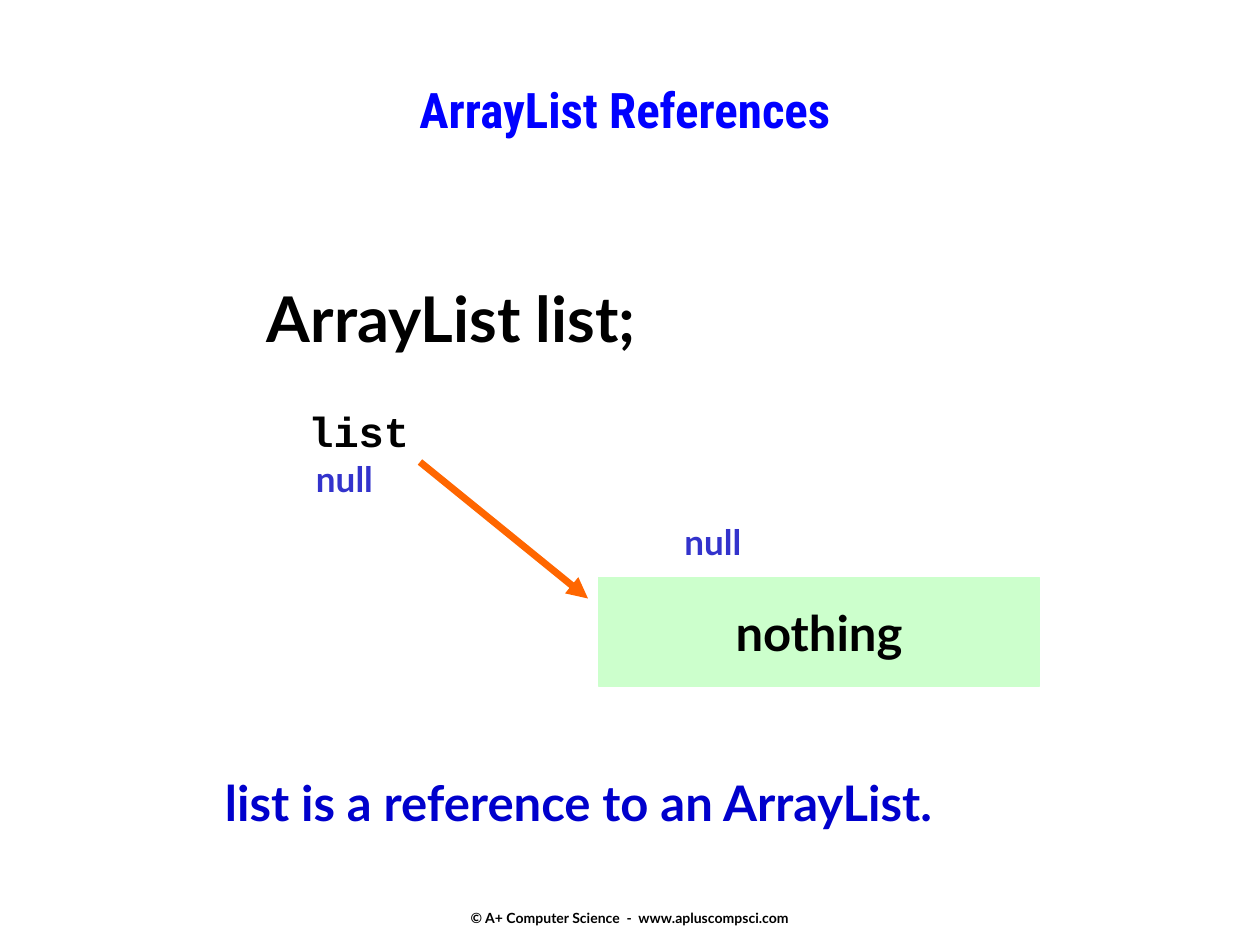
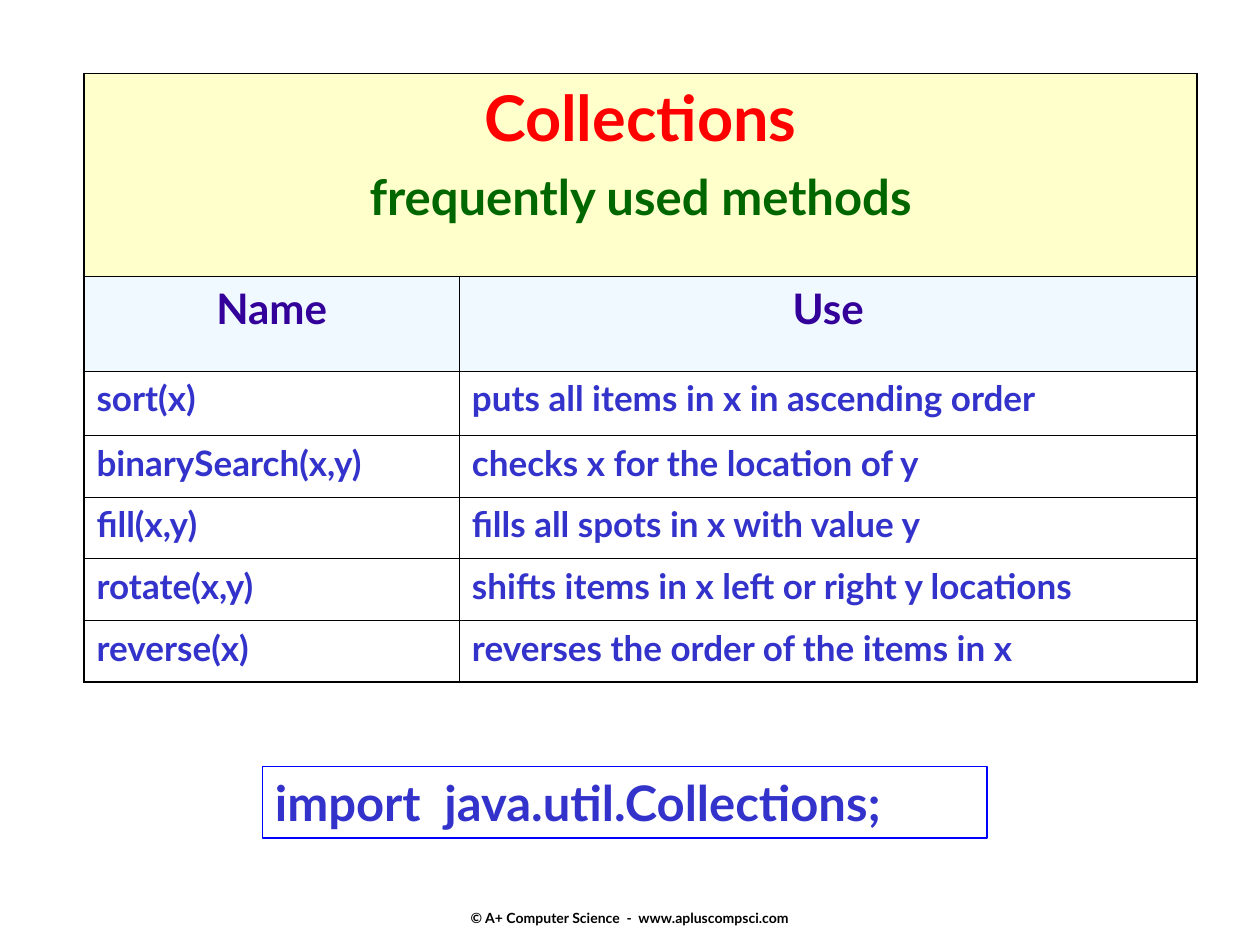
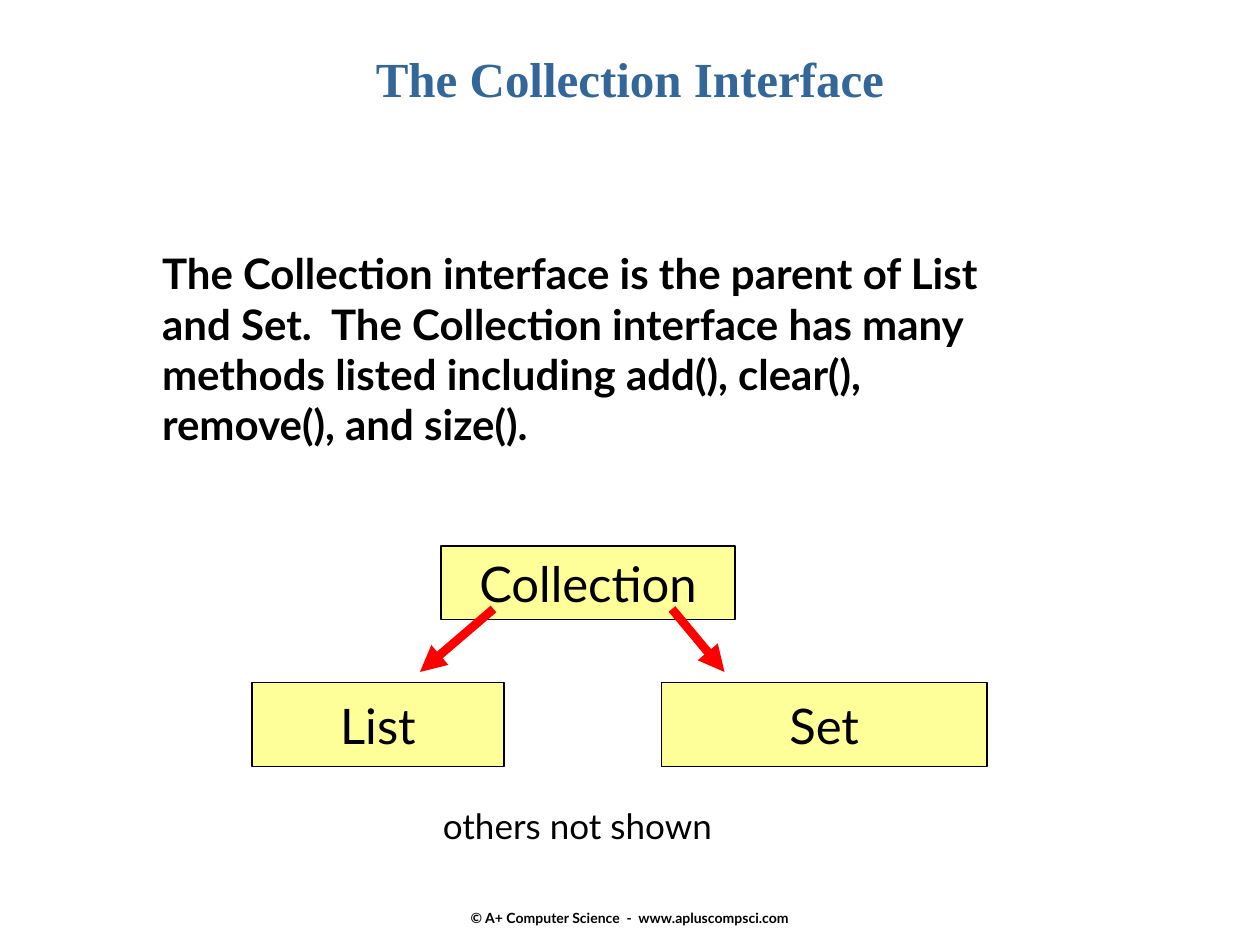
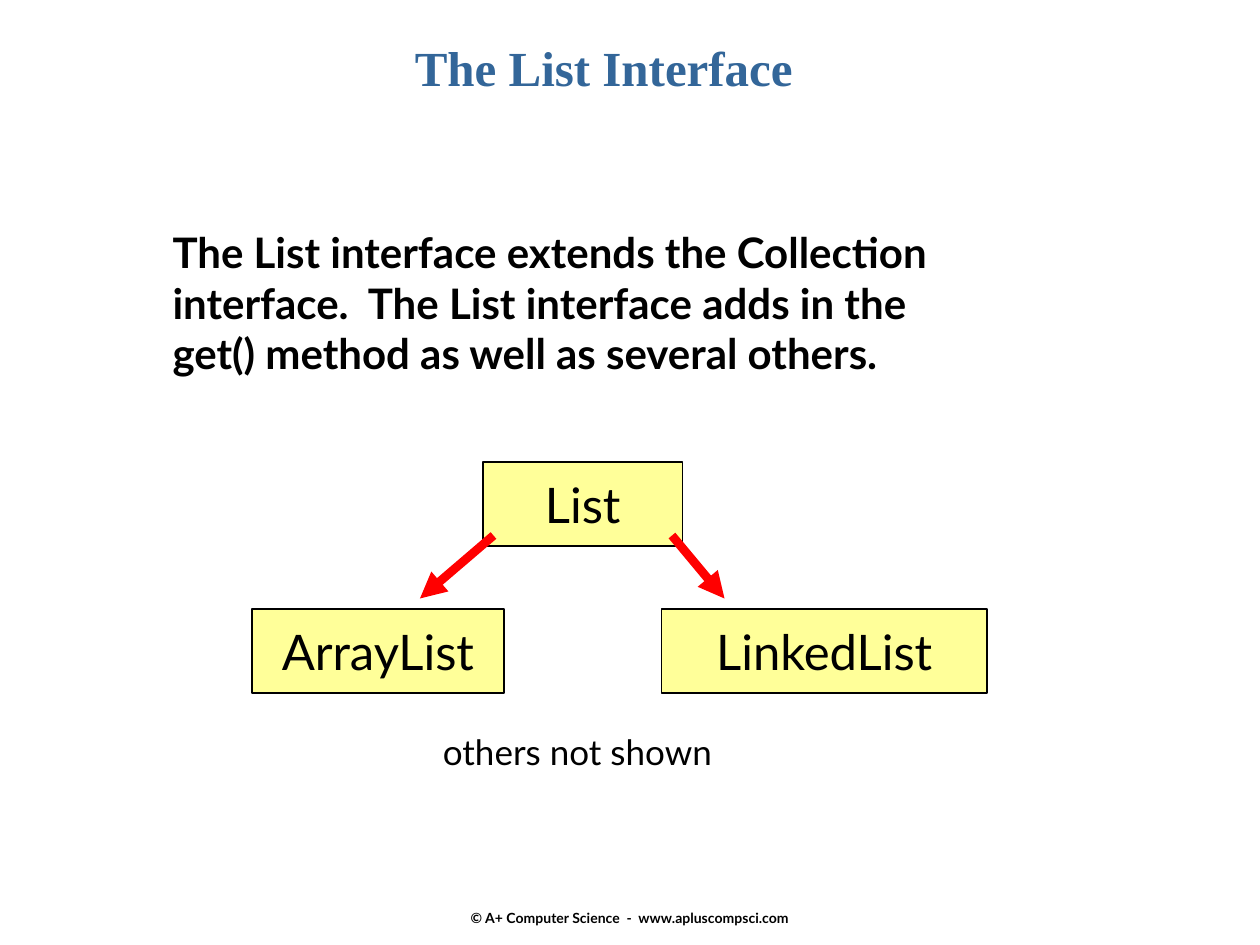
from lxml import etree
from pptx import Presentation
from pptx.dml.color import RGBColor
from pptx.enum.shapes import MSO_CONNECTOR, MSO_SHAPE
from pptx.enum.text import MSO_ANCHOR, MSO_AUTO_SIZE, PP_ALIGN
from pptx.oxml.ns import qn
from pptx.util import Pt

LEFT, CENTER = PP_ALIGN.LEFT, PP_ALIGN.CENTER
TOP, MIDDLE, BOTTOM = MSO_ANCHOR.TOP, MSO_ANCHOR.MIDDLE, MSO_ANCHOR.BOTTOM
NO_FIT = MSO_AUTO_SIZE.NONE
RECT, STRAIGHT = MSO_SHAPE.RECTANGLE, MSO_CONNECTOR.STRAIGHT
TITLE_ONLY, BLANK = 5, 6


class Theme:
    body, code, serif, condensed = "Lato", "Courier New", "Times New Roman", "Roboto Condensed"
    black, red, blue, deep_blue = "000000", "FF0000", "0000FF", "0000CC"
    indigo, violet, green, steel = "3333CC", "330099", "006600", "336699"
    orange, mint, yellow, cream, ice = "FF6600", "CCFFCC", "FFFF99", "FFFFCC", "E1F4FF"
    footer, small, medium, large, huge = 8, 20, 24, 28, 36
    thin, thick = 0.45, 1.08


# Content: boxes are (left, top, width, height) in points
FOOTER = "© A+ Computer Science  -  www.apluscompsci.com"

REFERENCE_TITLE = ("ArrayList References", (84, 42, 546, 60))
REFERENCE_LABELS = [
    # text, box, size, colour, font, alignment
    ("list", (169, 228, 72, 65), Theme.medium, Theme.black, Theme.code, CENTER),
    ("null", (173.5, 258, 52.5, 32), Theme.small, Theme.indigo, Theme.body, LEFT),
    ("null", (384, 294, 52.5, 32), Theme.small, Theme.indigo, Theme.body, LEFT),
    ("ArrayList list;", (145.5, 156, 261, 50), Theme.huge, Theme.black, Theme.body, LEFT),
    ("list is a reference to an ArrayList.", (121.5, 438, 476, 41),
     Theme.large, Theme.deep_blue, Theme.body, LEFT),
]

METHODS_HEADING = [("Collections", Theme.huge, Theme.red),
                   ("frequently used methods", Theme.large, Theme.green)]
METHODS_HEADER = ("Name", "Use")
METHODS = [
    ("sort(x)", "puts all items in x in ascending order"),
    ("binarySearch(x,y)", "checks x for the location of y"),
    ("fill(x,y)", "fills all spots in x with value y"),
    ("rotate(x,y)", "shifts items in x left or right y locations"),
    ("reverse(x)", "reverses the order of the items in x"),
]
METHODS_COLUMNS = (214.5, 421.5)
METHODS_ROWS = [116, 54, 36.7] + [35.3] * 4
IMPORT_LINE = "import  java.util.Collections;"

HIERARCHIES = [
    dict(title=("The Collection Interface", (54, 24, 612, 48)),
         lines=["The Collection interface is the parent of List",
                "and Set.  The Collection interface has many",
                "methods listed including add(), clear(),",
                "remove(), and size()."],
         lines_box=(85.5, 138, 539, 122),
         parent=("Collection", (252, 312, 168, 42)),
         children=("List", "Set")),
    dict(title=("The List Interface", (108, 18, 474, 48)),
         lines=["The List interface extends the Collection",
                "interface.  The List interface adds in the",
                "get() method as well as several others."],
         lines_box=(91.5, 126, 497, 94),
         parent=("List", (276, 264, 114, 48)),
         children=("ArrayList", "LinkedList")),
]
CHILD_COLUMNS = [(144, 144), (378, 186)]
CHILD_ARROWS = [(282, 240), (384, 414)]
CHILD_GAP, CHILD_HEIGHT = 36, 48
NOTE = "others not shown"


# Helpers
def rgb(color):
    return RGBColor.from_string(color)


def pts(values):
    return [Pt(v) for v in values]


def style(p, size, color, font=Theme.body, bold=True, align=LEFT):
    p.alignment = align
    p.font.size, p.font.name, p.font.bold = Pt(size), font, bold
    p.font.color.rgb = rgb(color)


def write(sp, lines, size, color, font=Theme.body, bold=True, align=LEFT, anchor=TOP):
    tf = sp.text_frame
    tf.text = "\n".join(lines)
    tf.word_wrap, tf.auto_size, tf.vertical_anchor = True, NO_FIT, anchor
    for p in tf.paragraphs:
        style(p, size, color, font, bold, align)


def add_text(slide, box, lines, size, color, **look):
    sp = slide.shapes.add_textbox(*pts(box))
    write(sp, lines, size, color, **look)
    return sp


def add_box(slide, box, text, text_color, fill, line, width, **look):
    sp = slide.shapes.add_shape(RECT, *pts(box))
    sp.shadow.inherit = False
    if fill:
        sp.fill.solid()
        sp.fill.fore_color.rgb = rgb(fill)
    else:
        sp.fill.background()
    sp.line.color.rgb, sp.line.width = rgb(line), Pt(width)
    write(sp, [text], Theme.large, text_color, **look)


def add_arrow(slide, start, end, color, width):
    cx = slide.shapes.add_connector(STRAIGHT, *pts(start + end))
    cx.line.color.rgb, cx.line.width = rgb(color), Pt(width)
    etree.SubElement(cx.line._get_or_add_ln(), qn("a:tailEnd"), type="triangle")
    etree.SubElement(cx._element.spPr, qn("a:effectLst"))


def new_slide(prs, title=None, font=Theme.serif, color=Theme.steel):
    slide = prs.slides.add_slide(prs.slide_layouts[TITLE_ONLY if title else BLANK])
    if title:
        text, box = title
        sp = slide.shapes.title
        sp.left, sp.top, sp.width, sp.height = pts(box)
        write(sp, [text], Theme.large, color, font=font, align=CENTER)
    sp = add_text(slide, (246, 492, 228, 37.5), [FOOTER], Theme.footer, Theme.black,
                  align=CENTER, anchor=BOTTOM)
    sp.text_frame.margin_bottom = 0
    return slide


def set_cell(cell, paragraphs, align, fill=None, opacity=100):
    """Fill a cell with (text, size, colour) paragraphs."""
    tf = cell.text_frame
    tf.text = "\n".join(text for text, _, _ in paragraphs)
    for p, (_, size, color) in zip(tf.paragraphs, paragraphs):
        style(p, size, color, align=align)
    if not fill:
        cell.fill.background()
        return
    cell.fill.solid()
    cell.fill.fore_color.rgb = rgb(fill)
    if opacity < 100:
        clr = cell._tc.tcPr.find(".//" + qn("a:srgbClr"))
        etree.SubElement(clr, qn("a:alpha"), val=str(opacity * 1000))


def set_borders(cell, outer):
    """Draw all four sides; sides named in outer are thick."""
    tc_pr = cell._tc.get_or_add_tcPr()
    for i, side in enumerate("LRTB"):
        width = Theme.thick if side in outer else Theme.thin
        ln = etree.Element(qn("a:ln" + side), w=str(Pt(width)))
        solid = etree.SubElement(ln, qn("a:solidFill"))
        etree.SubElement(solid, qn("a:srgbClr"), val=Theme.black)
        tc_pr.insert(i, ln)


# Slides
def reference_slide(prs):
    slide = new_slide(prs, REFERENCE_TITLE, Theme.condensed, Theme.blue)
    add_box(slide, (342, 330, 252, 62), "nothing", Theme.black,
            Theme.mint, Theme.mint, 1, align=CENTER, anchor=MIDDLE)
    add_arrow(slide, (240, 264), (336, 342), Theme.orange, 4)
    for text, box, size, color, font, align in REFERENCE_LABELS:
        add_text(slide, box, [text], size, color, font=font, align=align)


def methods_slide(prs):
    slide = new_slide(prs)
    n_rows, n_cols = len(METHODS_ROWS), len(METHODS_COLUMNS)
    frame = slide.shapes.add_table(n_rows, n_cols, Pt(48), Pt(42),
                                   Pt(sum(METHODS_COLUMNS)), Pt(sum(METHODS_ROWS)))
    table = frame.table
    table.first_row = table.horz_banding = False
    for col, width in zip(table.columns, METHODS_COLUMNS):
        col.width = Pt(width)
    for row, height in zip(table.rows, METHODS_ROWS):
        row.height = Pt(height)

    heading = table.cell(0, 0)
    heading.merge(table.cell(0, n_cols - 1))
    set_cell(heading, METHODS_HEADING, CENTER, Theme.cream)
    heading.text_frame.paragraphs[1].space_before = Pt(7)
    for c, text in enumerate(METHODS_HEADER):
        set_cell(table.cell(1, c), [(text, Theme.medium, Theme.violet)], CENTER, Theme.ice, 50)
    for r, method in enumerate(METHODS, 2):
        for c, text in enumerate(method):
            set_cell(table.cell(r, c), [(text, Theme.small, Theme.indigo)], LEFT)

    for r in range(n_rows):
        for c in range(n_cols):
            outer = {"L" if c == 0 else "", "R" if c == n_cols - 1 or r == 0 else "",
                     "T" if r == 0 else "", "B" if r == n_rows - 1 else ""}
            set_borders(table.cell(r, c), outer)

    add_box(slide, (150, 438, 414, 41), IMPORT_LINE, Theme.indigo, None, Theme.blue, 1)


def hierarchy_slide(prs, title, lines, lines_box, parent, children):
    slide = new_slide(prs, title)
    add_text(slide, lines_box, lines, Theme.medium, Theme.black)

    parent_box = parent[1]
    child_top = parent_box[1] + parent_box[3] + CHILD_GAP
    nodes = [parent] + [(name, (left, child_top, width, CHILD_HEIGHT))
                        for name, (left, width) in zip(children, CHILD_COLUMNS)]
    for name, box in nodes:
        add_box(slide, box, name, Theme.black, Theme.yellow, Theme.black, 0.75,
                bold=False, align=CENTER, anchor=MIDDLE)
    for start, end in CHILD_ARROWS:
        add_arrow(slide, (start, child_top - 42), (end, child_top - 6), Theme.red, 5)
    add_text(slide, (246, child_top + 66, 179, 32), [NOTE], Theme.small, Theme.black, bold=False)


def main():
    prs = Presentation()
    prs.slide_width, prs.slide_height = Pt(720), Pt(540)
    reference_slide(prs)
    methods_slide(prs)
    for hierarchy in HIERARCHIES:
        hierarchy_slide(prs, **hierarchy)
    prs.save("out.pptx")


if __name__ == "__main__":
    main()
